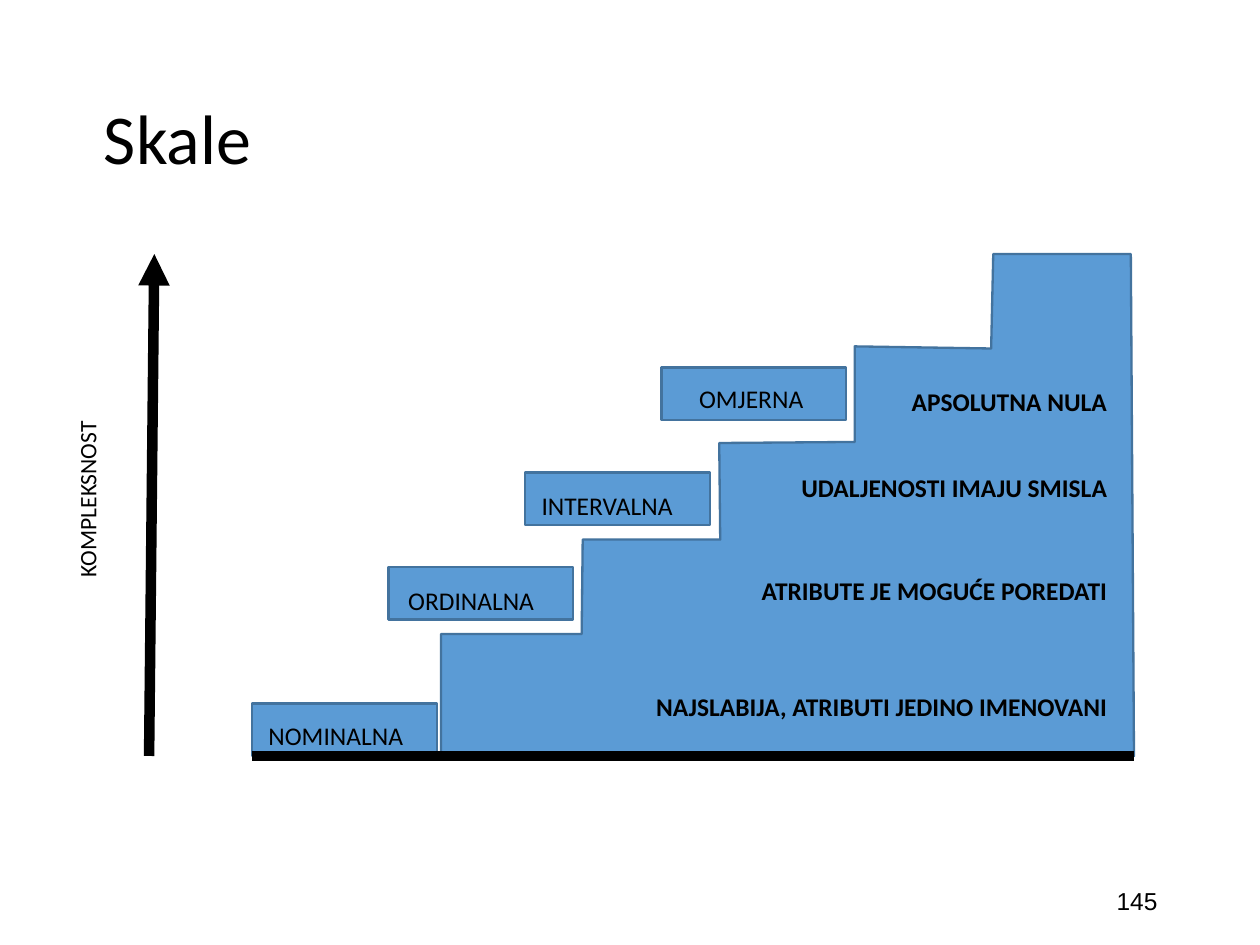
from dataclasses import dataclass

from lxml.etree import SubElement
from pptx import Presentation
from pptx.dml.color import RGBColor
from pptx.enum.shapes import MSO_CONNECTOR, MSO_SHAPE
from pptx.enum.text import MSO_ANCHOR as Anchor, MSO_AUTO_SIZE as AutoSize, PP_ALIGN as Align
from pptx.oxml.ns import qn
from pptx.shapes.autoshape import Shape
from pptx.shapes.connector import Connector
from pptx.slide import Slide
from pptx.text.text import TextFrame
from pptx.util import Inches, Pt

WIDTH = Inches(7.5)
HEIGHT = WIDTH * 3 // 4
CELL = WIDTH // 60  # the slide is 60 columns by 45 rows

BLACK, STEP_FILL, STEP_EDGE = "000000", "5B9BD5", "43739E"
BASE_ROW, TOP_ROW = 36, 12.1
FIRST_COL, COL_STEP = 12, 6.5
LABEL_HEIGHT = 2.25


@dataclass(frozen=True)
class Scale:
    """One scale; the name and meaning carry their own (left, top, width) or (top, width)."""
    name: str
    box_top: float
    name_place: tuple[float, float, float]
    meaning: str
    meaning_place: tuple[float, float]


SCALES = [
    Scale("NOMINALNA", 33.5, (12, 33.9, 8.1),
          "NAJSLABIJA, ATRIBUTI JEDINO IMENOVANI", (32.5, 29.5)),
    Scale("ORDINALNA", 27, (18.65, 27.45, 7.7),
          "ATRIBUTE JE MOGUĆE POREDATI", (27, 22.5)),
    Scale("INTERVALNA", 22.5, (25, 22.95, 7.9),
          "UDALJENOSTI IMAJU SMISLA", (22.1, 19.5)),
    Scale("OMJERNA", 17.5, (32.5, 17.85, 6.65),
          "APSOLUTNA NULA", (18, 13)),
]
MEANING_RIGHT = 53.5

STAIRCASE = [
    (40.7, 16.5), (40.7, 21.05), (34.25, 21.1), (34.3, 25.7), (27.75, 25.7), (27.7, 30.2),
    (21, 30.2), (21, 35.9), (54, BASE_ROW), (53.85, TOP_ROW), (47.3, TOP_ROW), (47.2, 16.6),
]


def grid(cells: float) -> int:
    return round(cells * CELL)


def rgb(value: str) -> RGBColor:
    return RGBColor.from_string(value)


def write(frame: TextFrame, text: str, size: float, font: str = "Calibri",
          bold: bool = False, align: Align = Align.LEFT) -> None:
    paragraph = frame.paragraphs[0]
    paragraph.alignment = align
    run = paragraph.add_run()
    run.text = text
    run.font.size = Pt(size)
    run.font.name = font
    run.font.bold = bold
    run.font.color.rgb = rgb(BLACK)


def add_label(slide: Slide, left: float, top: float, width: float, text: str, size: float = 10.9,
              wrap: bool = False, bold: bool = False, align: Align = Align.LEFT) -> Shape:
    label = slide.shapes.add_textbox(grid(left), grid(top), grid(width), grid(LABEL_HEIGHT))
    label.text_frame.word_wrap = wrap
    label.text_frame.auto_size = AutoSize.SHAPE_TO_FIT_TEXT
    write(label.text_frame, text, size, bold=bold, align=align)
    return label


def paint_step(shape: Shape) -> None:
    shape.shadow.inherit = False
    shape.fill.solid()
    shape.fill.fore_color.rgb = rgb(STEP_FILL)
    shape.line.color.rgb = rgb(STEP_EDGE)
    shape.line.width = Pt(1)


def add_thick_line(slide: Slide, start: tuple[float, float], end: tuple[float, float]) -> Connector:
    line = slide.shapes.add_connector(MSO_CONNECTOR.STRAIGHT, *map(grid, start + end))
    line.line.color.rgb = rgb(BLACK)
    line.line.width = Pt(4.5)
    SubElement(line._element.spPr, qn("a:effectLst"))
    return line


def add_title(slide: Slide) -> None:
    title = slide.shapes.title
    title.left, title.top, title.width, title.height = map(grid, (4.15, 2.4, 51.75, 8.7))
    title.text_frame.vertical_anchor = Anchor.MIDDLE
    write(title.text_frame, "Skale", 30)
    title.text_frame.paragraphs[0].line_spacing = 0.9


def add_page_number(slide: Slide) -> None:
    number = slide.shapes.add_textbox(*map(grid, (42.4, 41.7, 13.5, 2.4)))
    number.text_frame.word_wrap = True
    number.text_frame.vertical_anchor = Anchor.MIDDLE
    write(number.text_frame, "145", 10.5, font="Arial", align=Align.RIGHT)


def add_staircase(slide: Slide) -> None:
    corners = [(grid(col), grid(row)) for col, row in STAIRCASE]
    outline = slide.shapes.build_freeform(*corners[0])
    outline.add_line_segments(corners[1:], close=True)
    paint_step(outline.convert_to_shape())


def add_scales(slide: Slide) -> None:
    for index, scale in enumerate(SCALES):
        left = FIRST_COL + index * COL_STEP
        paint_step(slide.shapes.add_shape(
            MSO_SHAPE.RECTANGLE, *map(grid, (left, scale.box_top, 8.8, 2.5))))
        add_label(slide, *scale.name_place, scale.name)
        top, width = scale.meaning_place
        add_label(slide, MEANING_RIGHT - width, top, width, scale.meaning,
                  wrap=True, bold=True, align=Align.RIGHT)


def add_axes(slide: Slide) -> None:
    complexity = add_thick_line(slide, (7.1, BASE_ROW), (7.35, TOP_ROW))
    SubElement(complexity.line._get_or_add_ln(), qn("a:tailEnd"), type="triangle")
    add_label(slide, -0.4, 22.55, 9.2, "KOMPLEKSNOST", size=10.1).rotation = 270
    add_thick_line(slide, (FIRST_COL, BASE_ROW), (54, BASE_ROW))


def main() -> None:
    deck = Presentation()
    deck.slide_width, deck.slide_height = WIDTH, HEIGHT
    slide = deck.slides.add_slide(deck.slide_layouts[5])
    add_title(slide)
    add_page_number(slide)
    add_staircase(slide)
    add_scales(slide)
    add_axes(slide)
    deck.save("out.pptx")


if __name__ == "__main__":
    main()
